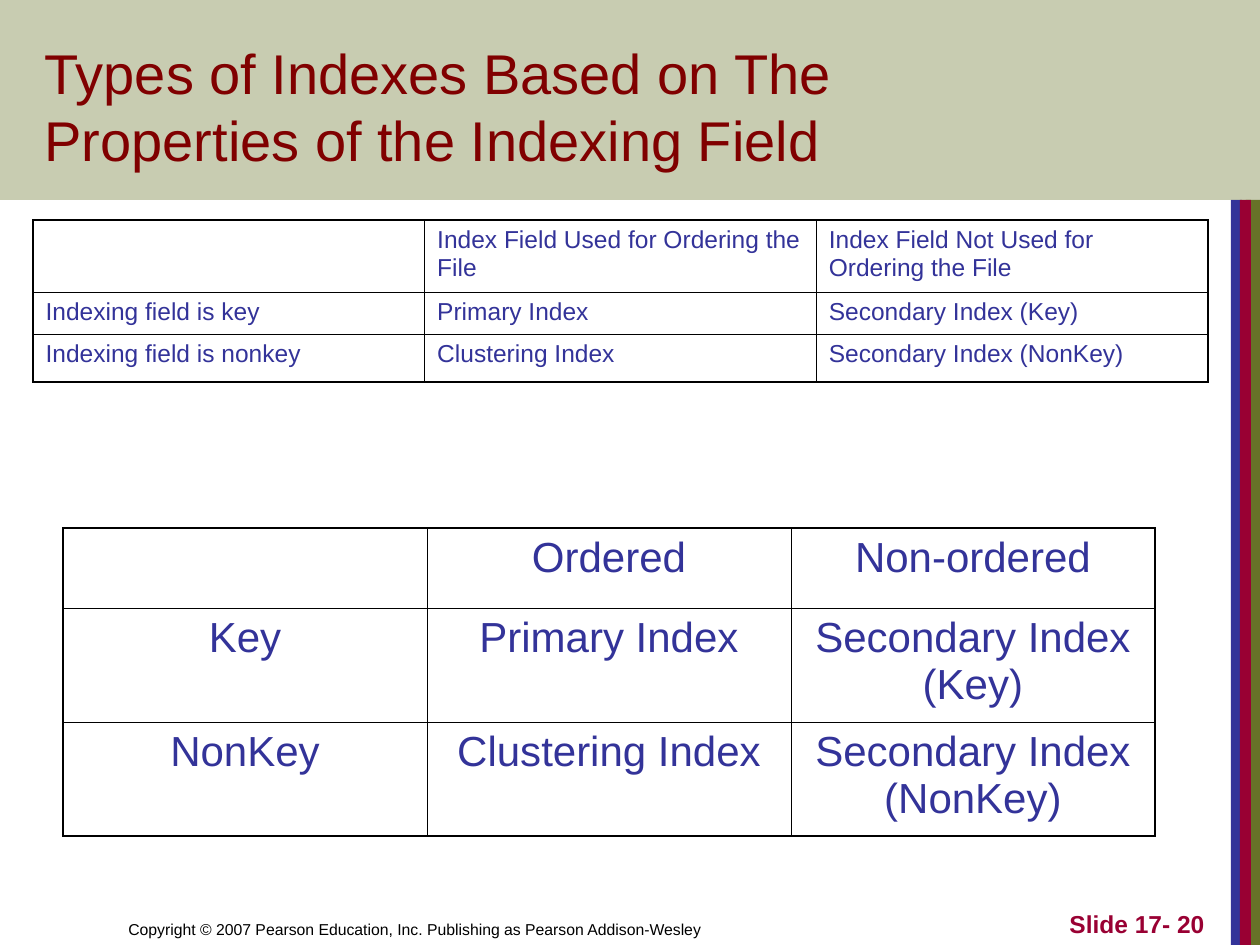
import pptx
import pptx.util
import pptx.dml.color
import pptx.enum.shapes
import pptx.enum.text
import pptx.oxml
import pptx.oxml.ns
import lxml.etree

SCALE = 914400 / 126
HUES = {"olive": "677228", "blue": "333399", "wine": "990033",
        "title": "800000", "black": "000000"}
ALIGN = pptx.enum.text.PP_ALIGN
BASE = pptx.enum.text.MSO_ANCHOR.BOTTOM


def box(*sides):
    return [pptx.util.Emu(round(side * SCALE)) for side in sides]


def style(para, size, hue, align=ALIGN.LEFT, bold=False):
    para.alignment = align
    para.font.name = "Arial"
    para.font.size = pptx.util.Pt(size)
    para.font.bold = bold
    para.font.color.rgb = pptx.dml.color.RGBColor.from_string(HUES[hue])


deck = pptx.Presentation()
deck.slide_width, deck.slide_height = box(1260, 945)
slide = deck.slides.add_slide(deck.slide_layouts[5])

bars = [("olive", 1246, 200, 14, 745), ("blue", 1231, 200, 11, 745),
        ("wine", 1240, 200, 11, 745), ("olive", 0, 0, 1260, 200)]
for hue, *place in bars:
    bar = slide.shapes.add_shape(pptx.enum.shapes.MSO_SHAPE.RECTANGLE, *box(*place))
    bar.shadow.inherit = False
    bar.fill.solid()
    bar.fill.fore_color.rgb = pptx.dml.color.RGBColor.from_string(HUES[hue])
    bar.line.fill.background()
tint = bar.fill._xPr.find(".//" + pptx.oxml.ns.qn("a:srgbClr"))
lxml.etree.SubElement(tint, pptx.oxml.ns.qn("a:alpha"), val="36000")

title = slide.shapes.title
title.left, title.top, title.width, title.height = box(32, 42, 1075, 137)
title.text_frame.text = "Types of Indexes Based on The Properties of the Indexing Field"
title.text_frame.auto_size = pptx.enum.text.MSO_AUTO_SIZE.NONE
title.text_frame.vertical_anchor = BASE
style(title.text_frame.paragraphs[0], 32, "title")
slide.shapes._spTree.append(title._element)

notes = [
    ("Copyright © 2007 Pearson Education, Inc. Publishing as Pearson Addison-Wesley",
     (116, 882, 620, 63), 9, "black", ALIGN.LEFT, False),
    ("Slide 17- 20", (955, 882, 262, 63), 14, "wine", ALIGN.RIGHT, True),
]
for words, place, size, hue, align, bold in notes:
    frame = slide.shapes.add_textbox(*box(*place)).text_frame
    frame.word_wrap = True
    frame.vertical_anchor = BASE
    frame.text = words
    style(frame.paragraphs[0], size, hue, align, bold)

grids = [
    ((33, 220, 1175, 162), (72, 42, 48), 14, ALIGN.LEFT, [
        ["", "Index Field Used for Ordering the File",
         "Index Field Not Used for Ordering the File"],
        ["Indexing field is key", "Primary Index", "Secondary Index (Key)"],
        ["Indexing field is nonkey", "Clustering Index", "Secondary Index (NonKey)"]]),
    ((63, 528, 1092, 308), (80, 114, 114), 24, ALIGN.CENTER, [
        ["", "Ordered", "Non-ordered"],
        ["Key", "Primary Index", "Secondary Index (Key)"],
        ["NonKey", "Clustering Index", "Secondary Index (NonKey)"]]),
]
for place, highs, size, align, rows in grids:
    table = slide.shapes.add_table(3, 3, *box(*place)).table
    table.first_row = table.horz_banding = False
    for row, high in zip(table.rows, box(*highs)):
        row.height = high
    for r, row in enumerate(rows):
        for c, words in enumerate(row):
            cell = table.cell(r, c)
            cell.text = words
            style(cell.text_frame.paragraphs[0], size, "blue", align)
            edges = {"L": c == 0, "R": c == 2, "T": r == 0, "B": r == 2}
            for side, outer in edges.items():
                width = pptx.util.Pt(1.08 if outer else 0.45)
                cell._tc.get_or_add_tcPr().append(pptx.oxml.parse_xml(
                    f'<a:ln{side} {pptx.oxml.ns.nsdecls("a")} w="{width}"><a:solidFill>'
                    f'<a:srgbClr val="{HUES["black"]}"/></a:solidFill></a:ln{side}>'))
            cell.fill.background()

deck.save("out.pptx")
